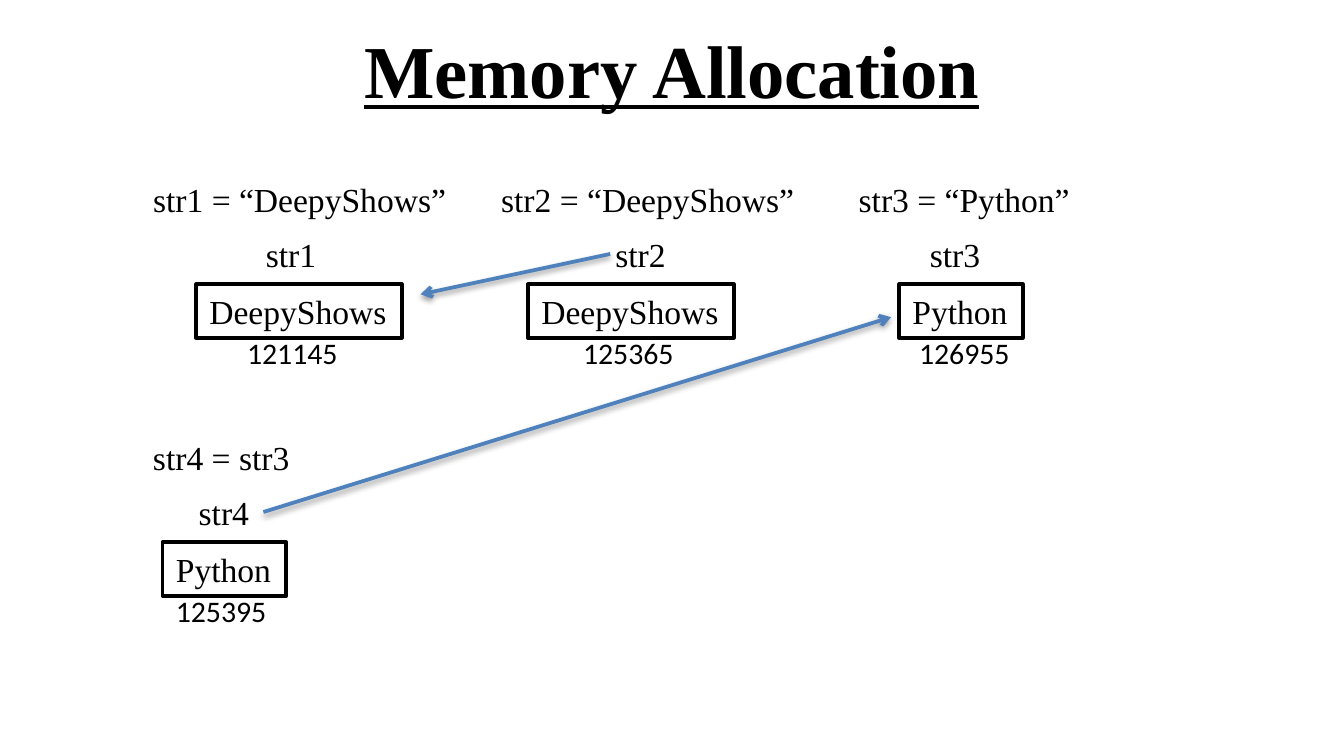
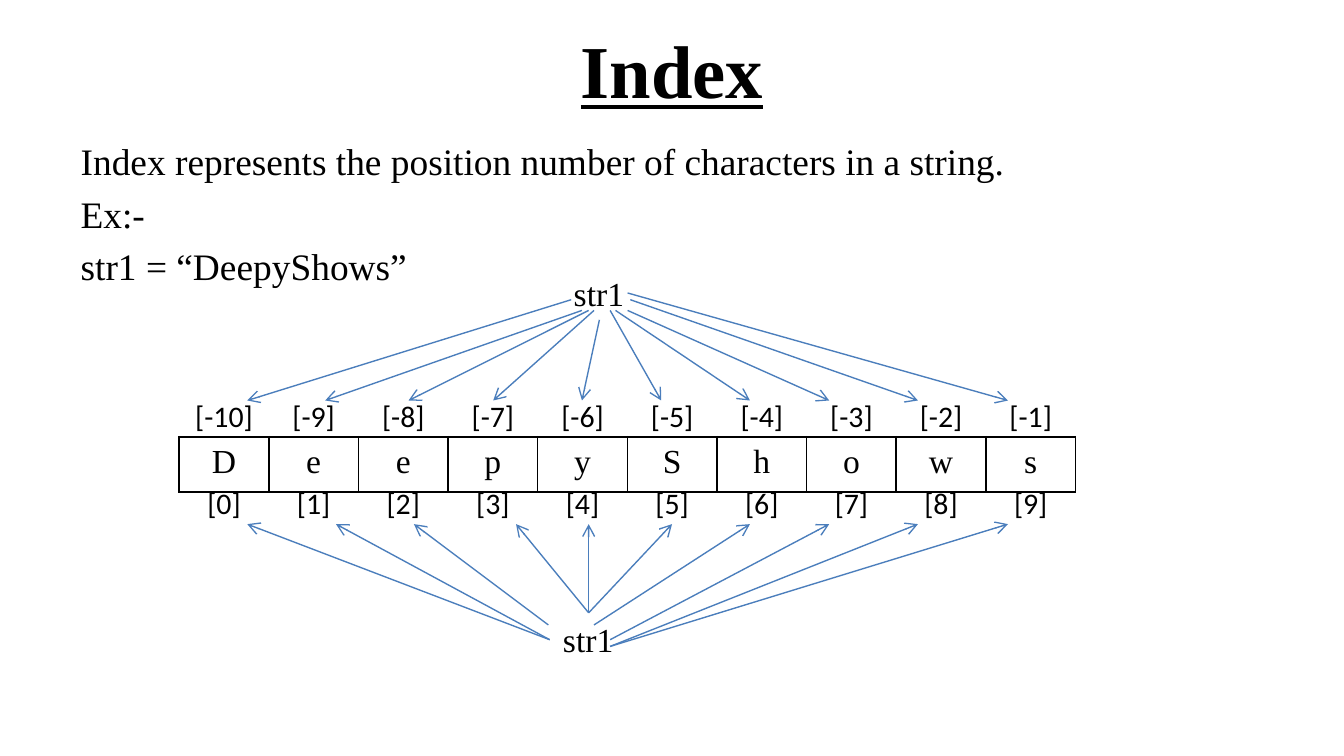
"""Build two slides on how Python strings are stored and indexed."""
from dataclasses import dataclass

from lxml import etree
from pptx import Presentation
from pptx.dml.color import RGBColor
from pptx.enum.shapes import MSO_CONNECTOR, MSO_SHAPE
from pptx.enum.text import MSO_ANCHOR, MSO_AUTO_SIZE, PP_ALIGN
from pptx.oxml.ns import qn
from pptx.util import Emu, Inches, Pt

CENTER, LEFT = PP_ALIGN.CENTER, PP_ALIGN.LEFT
TOP = MSO_ANCHOR.TOP
FIT_TEXT, FIXED = MSO_AUTO_SIZE.SHAPE_TO_FIT_TEXT, MSO_AUTO_SIZE.NONE
RECTANGLE, STRAIGHT = MSO_SHAPE.RECTANGLE, MSO_CONNECTOR.STRAIGHT

COLORS = {"ink": "000000", "paper": "FFFFFF", "pointer": "4F81BD", "index": "4B7EBC"}
SERIF, SANS = "Times New Roman", "Calibri"
SLIDE_W, SLIDE_H = Inches(10), Inches(5.625)
COL, ROW = SLIDE_W / 100, SLIDE_H / 56.25
PLAIN_TABLE = "{2D5ABB26-0587-4C30-8999-92F81FD0307C}"
WORD = "DeepyShows"
TITLE_AREA = (5, 0.4, 90, 9.4)
BODY_AREA = (5, 9.8, 90, 37.1)
LABEL_H = 4
NAME_DROP, BOX_DROP, ADDRESS_DROP = 4.1, 8.35, 11.6
TABLE_LEFT, TABLE_W, TABLE_H = 13.33, 66.7, 4.1
UPPER_TIP, LOWER_TIP = 29.8, 39


@dataclass(frozen=True)
class Variable:
    """A string variable with its grid places."""

    name: str
    statement: str
    value: str
    address: str
    top: float
    statement_left: float
    statement_w: float
    name_left: float
    box_left: float
    box_w: float
    address_left: float


@dataclass(frozen=True)
class Arrow:
    """An arrow between two grid points."""

    x1: float
    y1: float
    x2: float
    y2: float


@dataclass(frozen=True)
class IndexRow:
    """A one-row table of characters or index numbers."""

    top: float
    labels: list[str]
    size: int
    font: str
    bordered: bool = False


VARIABLES = [
    Variable("str1", f"str1 = “{WORD}”", WORD, "121145", 12.8, 10.4, 24.1, 18.8, 14.6, 15.3, 17.4),
    Variable("str2", f"str2 = “{WORD}”", WORD, "125365", 12.8, 36.3, 24.1, 44.8, 39.3, 15.3, 42.4),
    Variable("str3", "str3 = “Python”", "Python", "126955", 12.8, 62.9, 17.9, 68.2, 66.9, 9.2, 67.4),
    Variable("str4", "str4 = str3", "Python", "125395", 32, 10.4, 12.3, 13.8, 12.1, 9.2, 12.1),
]
POINTERS = [Arrow(45.4, 18.9, 31.3, 21.9), Arrow(19.6, 38.1, 66.3, 23.6)]
INDEX_ROWS = [
    IndexRow(32.5, list(WORD), 18, SERIF, True),
    IndexRow(35.7, [f"[{i}]" for i in range(len(WORD))], 16, SANS),
    IndexRow(29.2, [f"[{i}]" for i in range(-len(WORD), 0)], 16, SANS),
]
LOWER_STARTS = [(40.9, 47.6), (40.9, 47.6), (40.8, 46.5), (43.8, 45.6), (43.8, 45.6),
                (43.8, 45.6), (44.2, 46.5), (45.4, 47.6), (45.4, 48.1), (45.4, 48.1)]
LOWER_ENDS = [18.4, 25, 30.8, 38.4, 43.8, 50, 55.8, 61.7, 68.3, 75]
UPPER_STARTS = [(42.5, 22.3), (43.3, 23.1), (43.8, 23.1), (44.2, 23.1), (44.6, 23.8),
                (45.4, 23.1), (45.8, 23.1), (46.7, 23.1), (46.9, 22.3), (46.7, 21.8)]
UPPER_ENDS = [18.4, 24.2, 30.4, 36.7, 43.3, 49.2, 55.8, 61.7, 68.3, 75]


def color(key: str) -> RGBColor:
    """Return a palette colour."""
    return RGBColor.from_string(COLORS[key])


def area(left: float, top: float, width: float, height: float) -> tuple[Emu, ...]:
    """Turn grid columns and rows into slide lengths."""
    return tuple(Emu(round(n)) for n in (left * COL, top * ROW, width * COL, height * ROW))


def write(frame, *lines: str, size: float = 18, font: str = SERIF, bold: bool = False,
          underline: bool = False, align: PP_ALIGN = LEFT) -> None:
    """Fill a text frame with formatted paragraphs."""
    for number, line in enumerate(lines):
        paragraph = frame.add_paragraph() if number else frame.paragraphs[0]
        paragraph.alignment = align
        run = paragraph.add_run()
        run.text = line
        run.font.size, run.font.name = Pt(size), font
        run.font.bold, run.font.underline = bold, underline
        run.font.color.rgb = color("ink")


def place(placeholder, grid_area: tuple[float, ...]):
    """Move a placeholder and return its text frame."""
    placeholder.left, placeholder.top, placeholder.width, placeholder.height = area(*grid_area)
    placeholder.text_frame.auto_size = FIXED
    return placeholder.text_frame


def add_slide(deck, layout: int, title: str):
    """Add a slide with the shared title style."""
    slide = deck.slides.add_slide(deck.slide_layouts[layout])
    write(place(slide.shapes.title, TITLE_AREA), title, size=40, bold=True,
          underline=True, align=CENTER)
    return slide


def fit(frame) -> None:
    """Let a label grow with its unwrapped text."""
    frame.word_wrap = False
    frame.auto_size = FIT_TEXT
    frame.vertical_anchor = TOP


def add_label(slide, text: str, left: float, top: float, width: float,
              height: float = LABEL_H, size: float = 18, font: str = SERIF) -> None:
    """Add a single-line label."""
    frame = slide.shapes.add_textbox(*area(left, top, width, height)).text_frame
    fit(frame)
    write(frame, text, size=size, font=font)


def add_value_box(slide, text: str, left: float, top: float, width: float) -> None:
    """Add an outlined box that holds a value."""
    box = slide.shapes.add_shape(RECTANGLE, *area(left, top, width, LABEL_H))
    box.shadow.inherit = False
    box.fill.solid()
    box.fill.fore_color.rgb = color("paper")
    box.line.color.rgb = color("ink")
    box.line.width = Pt(2)
    fit(box.text_frame)
    write(box.text_frame, text)


def add_arrow(slide, arrow: Arrow, tint: str, weight: float, shadow: bool = False) -> None:
    """Draw an open-headed arrow."""
    line = slide.shapes.add_connector(STRAIGHT, *area(arrow.x1, arrow.y1, arrow.x2, arrow.y2))
    line.line.color.rgb = color(tint)
    line.line.width = Pt(weight)
    properties = line._element.spPr
    etree.SubElement(properties.find(qn("a:ln")), qn("a:tailEnd"), type="arrow")
    effects = etree.SubElement(properties, qn("a:effectLst"))
    if shadow:
        outer = etree.SubElement(effects, qn("a:outerShdw"), blurRad="40000", dist="20000",
                                 dir="5400000", rotWithShape="0")
        shade = etree.SubElement(outer, qn("a:srgbClr"), val=COLORS["ink"])
        etree.SubElement(shade, qn("a:alpha"), val="38000")


def add_borders(cell) -> None:
    """Put a thin border on all sides of a cell."""
    properties = cell._tc.get_or_add_tcPr()
    for position, side in enumerate(("a:lnL", "a:lnR", "a:lnT", "a:lnB")):
        border = etree.Element(qn(side), w=str(Pt(1)))
        fill = etree.SubElement(border, qn("a:solidFill"))
        etree.SubElement(fill, qn("a:srgbClr"), val=COLORS["ink"])
        properties.insert(position, border)


def add_index_row(slide, row: IndexRow) -> None:
    """Add a table with one label per character."""
    bounds = area(TABLE_LEFT, row.top, TABLE_W, TABLE_H)
    table = slide.shapes.add_table(1, len(row.labels), *bounds).table
    table.first_row = table.horz_banding = False
    table._tbl.tblPr.find(qn("a:tableStyleId")).text = PLAIN_TABLE
    for cell, label in zip(table.iter_cells(), row.labels):
        cell.fill.background()
        write(cell.text_frame, label, size=row.size, font=row.font, align=CENTER)
        if row.bordered:
            add_borders(cell)


def add_variable(slide, item: Variable) -> None:
    """Draw a variable's statement, name, value and address."""
    add_value_box(slide, item.value, item.box_left, item.top + BOX_DROP, item.box_w)
    add_label(slide, item.address, item.address_left, item.top + ADDRESS_DROP, 8.9, 3.7,
              size=16, font=SANS)
    add_label(slide, item.name, item.name_left, item.top + NAME_DROP, 6.4)
    add_label(slide, item.statement, item.statement_left, item.top, item.statement_w)


def build_memory(deck) -> None:
    """Build the memory allocation slide."""
    slide = add_slide(deck, 5, "Memory Allocation")
    for item in VARIABLES:
        add_variable(slide, item)
    for pointer in POINTERS:
        add_arrow(slide, pointer, "pointer", 2, shadow=True)


def build_index(deck) -> None:
    """Build the string index slide."""
    slide = add_slide(deck, 1, "Index")
    body = place(slide.placeholders[1], BODY_AREA)
    write(body, "Index represents the position number of characters in a string.",
          "Ex:-", f"str1 = “{WORD}”", size=20)
    for paragraph in body.paragraphs:
        properties = paragraph._p.get_or_add_pPr()
        properties.set("marL", "0")
        properties.set("indent", "0")
        etree.SubElement(properties, qn("a:buNone"))
    for row in INDEX_ROWS:
        add_index_row(slide, row)
    add_label(slide, "str1", 41.7, 19.8, 5.8)
    add_label(slide, "str1", 40.9, 45.6, 5.8)
    for starts, ends, tip in ((LOWER_STARTS, LOWER_ENDS, LOWER_TIP),
                              (UPPER_STARTS, UPPER_ENDS, UPPER_TIP)):
        for (x, y), end in zip(starts, ends):
            add_arrow(slide, Arrow(x, y, end, tip), "index", 0.75)


def main() -> None:
    """Build and save the deck."""
    deck = Presentation()
    deck.slide_width, deck.slide_height = SLIDE_W, SLIDE_H
    build_memory(deck)
    build_index(deck)
    deck.save("out.pptx")


if __name__ == "__main__":
    main()
